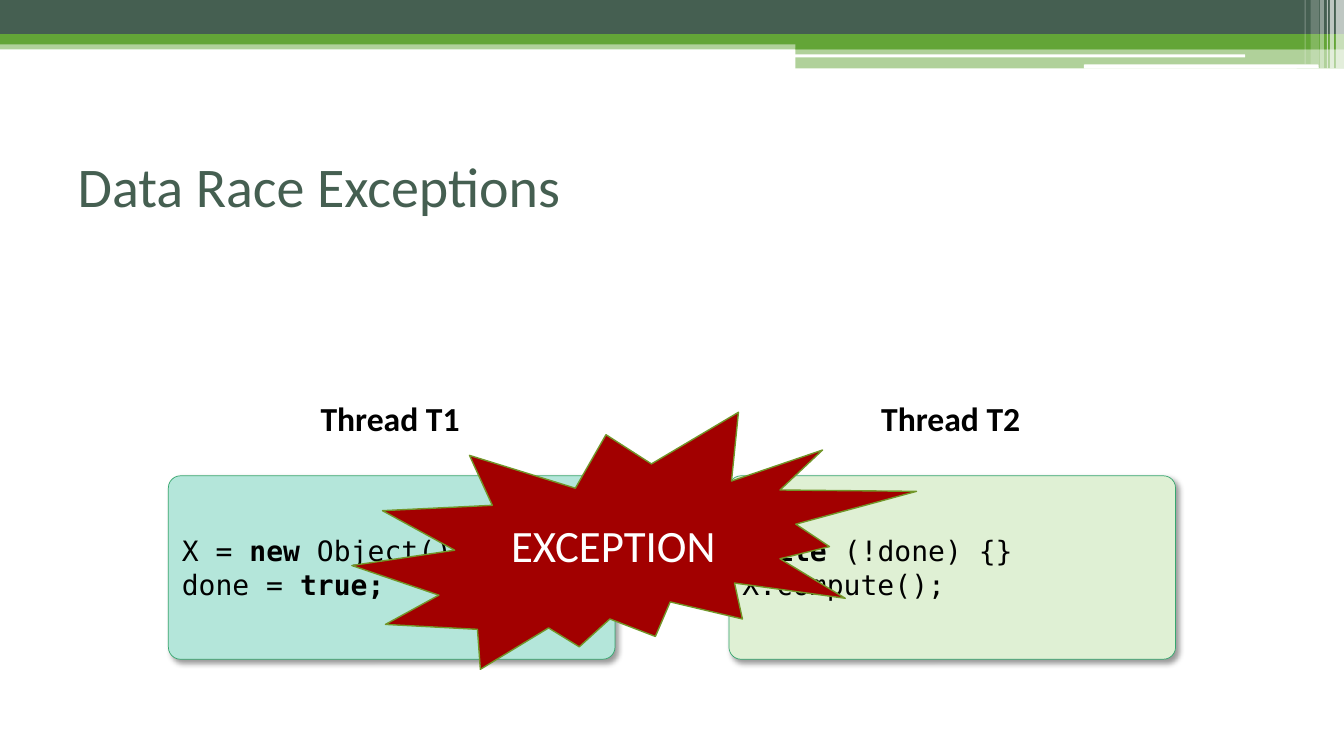
from dataclasses import dataclass

from lxml import etree
from pptx import Presentation
from pptx.dml.color import RGBColor
from pptx.enum.shapes import MSO_SHAPE
from pptx.enum.text import MSO_ANCHOR, PP_ALIGN
from pptx.oxml.ns import qn
from pptx.util import Inches, Pt

RECTANGLE = MSO_SHAPE.RECTANGLE
ROUNDED = MSO_SHAPE.ROUNDED_RECTANGLE
BURST = MSO_SHAPE.EXPLOSION2
MIDDLE = MSO_ANCHOR.MIDDLE
LEFT, CENTER = PP_ALIGN.LEFT, PP_ALIGN.CENTER

COLORS = {
    "white": "FFFFFF", "black": "000000", "slate": "455F51", "green": "63A537",
    "mint": "B4E6DA", "lime": "DFF0D4", "border": "37A76F",
    "red": "A20000", "olive": "719629",
}
TEXT_FONT = "Calibri"
CODE_FONT = "DejaVu Sans Mono"
PAGE_WIDTH = 13.33


@dataclass
class Band:
    left: float
    top: float
    width: float
    height: float
    color: str
    opacity: int = 100
    kind: int = RECTANGLE


@dataclass
class Thread:
    label: str
    left: float
    color: str
    code: list[list[tuple[str, bool]]]  # lines of (text, bold)


BANDS = [
    Band(0, 0.4, PAGE_WIDTH, 0.09, "green", 50),
    Band(0, 0, PAGE_WIDTH, 0.34, "slate"),
    Band(0, 0.34, PAGE_WIDTH, 0.1, "green"),
    Band(7.89, 0.39, 5.44, 0.1, "green"),
    Band(7.89, 0.48, 5.44, 0.2, "green", 50),
    Band(7.88, 0.54, 4.47, 0.03, "white", kind=ROUNDED),
    Band(10.75, 0.64, 2.33, 0.04, "white", kind=ROUNDED),
    Band(13.25, 0, 0.08, 0.68, "white", 65),
    Band(13.19, 0, 0.04, 0.68, "white", 65),
    Band(13.16, 0, 0.01, 0.68, "white", 60),
    Band(13.09, 0, 0.04, 0.68, "white", 40),
    Band(13, 0, 0.08, 0.64, "white", 20),
    Band(12.94, 0, 0.01, 0.64, "white", 30),
]
THREADS = [
    Thread("Thread T1", 1.67, "mint", [
        [("X = ", False), ("new", True), (" Object();", False)],
        [("done = ", False), ("true;", True)],
    ]),
    Thread("Thread T2", 7.23, "lime", [
        [("while ", True), ("(!done) {}", False)],
        [("X.compute();", False)],
    ]),
]


def rgb(name: str) -> RGBColor:
    return RGBColor.from_string(COLORS[name])


def style(font, size: float, color: str, name: str = TEXT_FONT, bold: bool = False) -> None:
    font.name, font.size, font.bold = name, Pt(size), bold
    font.color.rgb = rgb(color)


def add_filled(page, kind, left: float, top: float, width: float, height: float, color: str):
    shape = page.shapes.add_shape(kind, Inches(left), Inches(top), Inches(width), Inches(height))
    shape.shadow.inherit = False
    shape.fill.solid()
    shape.fill.fore_color.rgb = rgb(color)
    shape.line.fill.background()
    return shape


def set_line(shape, color: str, width: float) -> None:
    shape.line.color.rgb = rgb(color)
    shape.line.width = Pt(width)


def set_opacity(color_element, percent: int) -> None:
    etree.SubElement(color_element, qn("a:alpha"), val=str(percent * 1000))


def add_shadow(shape) -> None:
    effects = shape._element.spPr.find(qn("a:effectLst"))
    shadow = etree.SubElement(effects, qn("a:outerShdw"), blurRad=str(Pt(4)),
                              dist=str(Pt(3)), dir=str(45 * 60000), rotWithShape="0")
    set_opacity(etree.SubElement(shadow, qn("a:srgbClr"), val=COLORS["black"]), 40)


def add_band(page, band: Band) -> None:
    shape = add_filled(page, band.kind, band.left, band.top, band.width, band.height, band.color)
    if band.opacity < 100:
        fill = shape._element.spPr.find(qn("a:solidFill"))
        set_opacity(fill.find(qn("a:srgbClr")), band.opacity)


def add_thread(page, thread: Thread) -> None:
    # Heading above the code
    heading = page.shapes.add_textbox(Inches(thread.left + 1.11), Inches(3.9),
                                      Inches(2.2), Inches(0.5))
    frame = heading.text_frame
    frame.word_wrap = True
    frame.margin_left = Inches(0.4)
    frame.text = thread.label
    style(frame.paragraphs[0].runs[0].font, 24, "black", bold=True)

    # Code panel
    panel = add_filled(page, ROUNDED, thread.left, 4.72, 4.43, 1.82, thread.color)
    panel.adjustments[0] = 0.066
    set_line(panel, "border", 0.5)
    add_shadow(panel)
    frame = panel.text_frame
    frame.vertical_anchor = MIDDLE
    for number, line in enumerate(thread.code):
        para = frame.add_paragraph() if number else frame.paragraphs[0]
        para.alignment = LEFT
        for text, bold in line:
            span = para.add_run()
            span.text = text
            style(span.font, 20, "black", CODE_FONT, bold)


def add_title(page, text: str) -> None:
    title = page.shapes.title
    title.left, title.top = Inches(0.67), Inches(1.25)
    title.width, title.height = Inches(12), Inches(1.17)
    frame = title.text_frame
    frame.text = text
    frame.vertical_anchor = MIDDLE
    para = frame.paragraphs[0]
    para.alignment = LEFT
    style(para.runs[0].font, 40, "slate")


def add_burst(page, text: str) -> None:
    burst = add_filled(page, BURST, 3.49, 4.09, 5.6, 2.55, "red")
    set_line(burst, "olive", 1)
    frame = burst.text_frame
    frame.text = text
    frame.vertical_anchor = MIDDLE
    para = frame.paragraphs[0]
    para.alignment = CENTER
    style(para.runs[0].font, 32, "white")


def main() -> None:
    deck = Presentation()
    deck.slide_width, deck.slide_height = Inches(PAGE_WIDTH), Inches(7.5)
    page = deck.slides.add_slide(deck.slide_layouts[5])
    for band in BANDS:
        add_band(page, band)
    add_title(page, "Data Race Exceptions")
    for thread in THREADS:
        add_thread(page, thread)
    add_burst(page, "EXCEPTION")
    deck.save("out.pptx")


if __name__ == "__main__":
    main()
